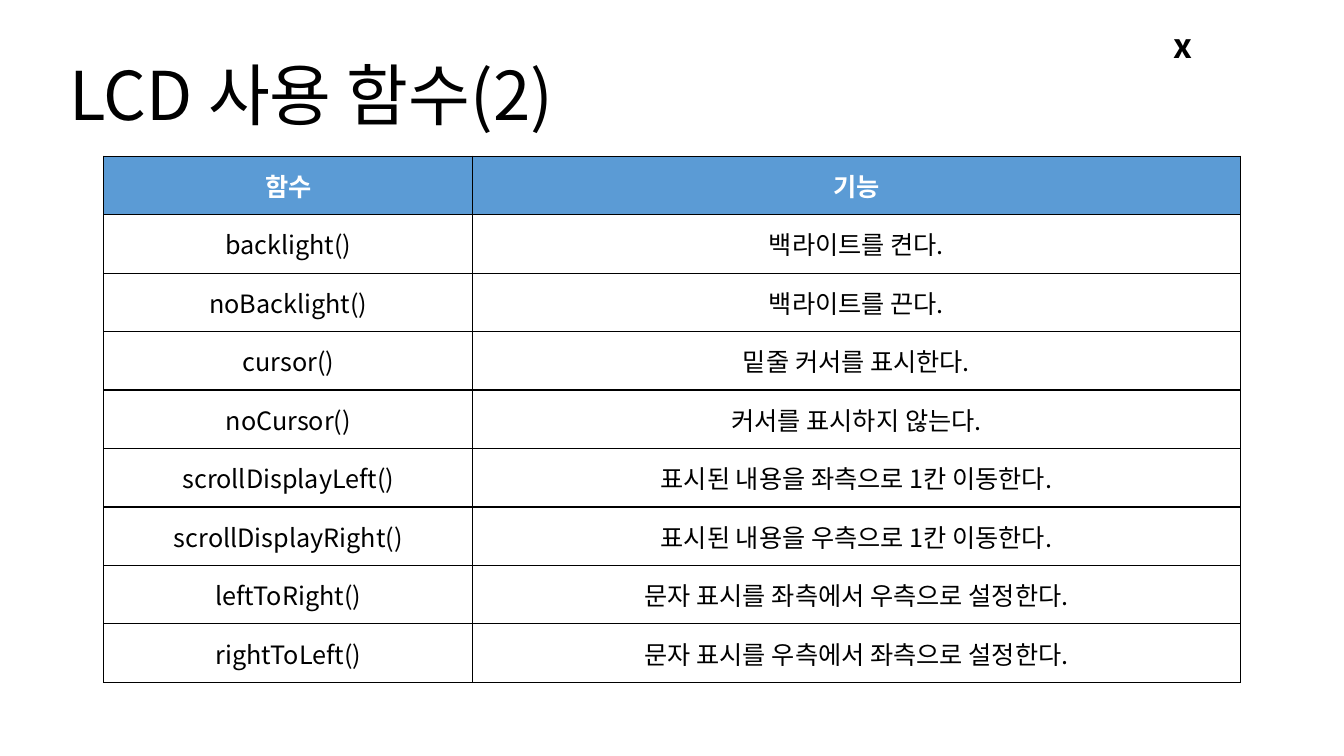
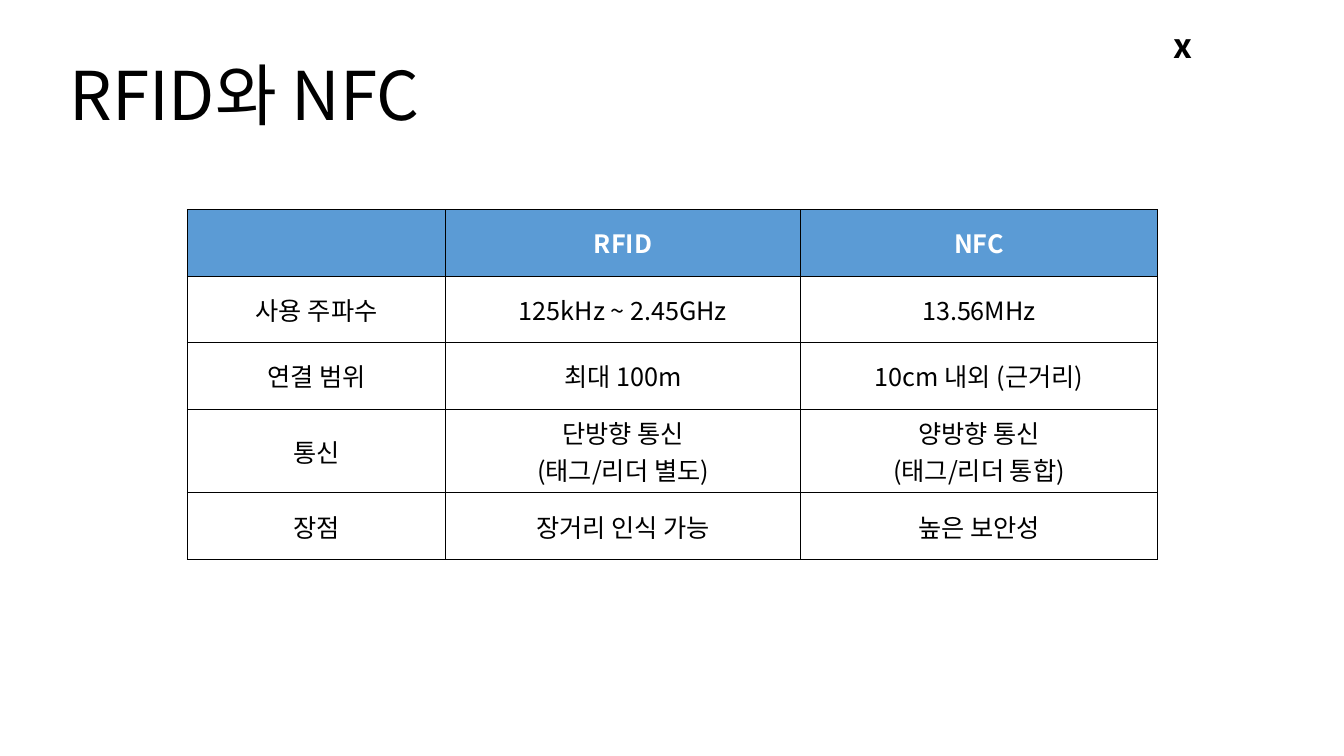
from lxml.etree import SubElement
from pptx import Presentation
from pptx.dml.color import RGBColor
from pptx.enum.text import MSO_ANCHOR, PP_ALIGN
from pptx.oxml.ns import qn
from pptx.util import Inches, Pt

FONT = "Noto Sans CJK KR"
BLACK, WHITE, BLUE = "000000", "FFFFFF", "5B9BD5"
TITLE = {"size": Pt(48), "bold": False}
MARK = {"size": Pt(24), "bold": True}
HEADER = {"size": Pt(18), "bold": True}
BODY = {"size": Pt(18), "bold": False}
TWO_LINE_HEIGHT = 0.83

LCD_ROWS = [
    ("함수", "기능"),
    ("backlight()", "백라이트를 켠다."),
    ("noBacklight()", "백라이트를 끈다."),
    ("cursor()", "밑줄 커서를 표시한다."),
    ("noCursor()", "커서를 표시하지 않는다."),
    ("scrollDisplayLeft()", "표시된 내용을 좌측으로 1칸 이동한다."),
    ("scrollDisplayRight()", "표시된 내용을 우측으로 1칸 이동한다."),
    ("leftToRight()", "문자 표시를 좌측에서 우측으로 설정한다."),
    ("rightToLeft()", "문자 표시를 우측에서 좌측으로 설정한다."),
]
RFID_ROWS = [
    ("", "RFID", "NFC"),
    ("사용 주파수", "125kHz ~ 2.45GHz", "13.56MHz"),
    ("연결 범위", "최대 100m", "10cm 내외 (근거리)"),
    ("통신", "단방향 통신\n(태그/리더 별도)", "양방향 통신\n(태그/리더 통합)"),
    ("장점", "장거리 인식 가능", "높은 보안성"),
]


def color(value):
    return RGBColor.from_string(value)


def write(frame, text, style, ink=BLACK, **paragraph_format):
    frame.text = text
    for para in frame.paragraphs:
        for name, value in paragraph_format.items():
            setattr(para, name, value)
        for span in para.runs:
            for name, value in style.items():
                setattr(span.font, name, value)
            span.font.name = FONT
            span.font.color.rgb = color(ink)
            SubElement(span.font._element, qn("a:ea"), typeface=FONT)


def add_text(page, text, bounds, style, **frame_format):
    frame = page.shapes.add_textbox(*map(Inches, bounds)).text_frame
    frame.word_wrap = True
    for name, value in frame_format.items():
        setattr(frame, name, value)
    write(frame, text, style, line_spacing=0.9)


def add_borders(cell):
    properties = cell._tc.get_or_add_tcPr()
    for position, side in enumerate(("lnL", "lnR", "lnT", "lnB")):
        line = properties.makeelement(qn(f"a:{side}"), {"w": str(Pt(1))})
        fill = SubElement(line, qn("a:solidFill"))
        SubElement(fill, qn("a:srgbClr"), val=BLACK)
        properties.insert(position, line)


def add_grid(page, rows, left, top, widths, row_height):
    heights = [TWO_LINE_HEIGHT if any("\n" in text for text in texts) else row_height
               for texts in rows]
    bounds = (left, top, sum(widths), sum(heights))
    table = page.shapes.add_table(len(rows), len(widths), *map(Inches, bounds)).table
    for column, width in zip(table.columns, widths):
        column.width = Inches(width)
    for row_index, texts in enumerate(rows):
        table.rows[row_index].height = Inches(heights[row_index])
        is_header = row_index == 0
        for column_index, text in enumerate(texts):
            cell = table.cell(row_index, column_index)
            cell.vertical_anchor = MSO_ANCHOR.MIDDLE
            cell.fill.solid()
            cell.fill.fore_color.rgb = color(BLUE if is_header else WHITE)
            add_borders(cell)
            write(cell.text_frame, text, HEADER if is_header else BODY,
                  WHITE if is_header else BLACK, alignment=PP_ALIGN.CENTER)


def add_page(deck, title):
    page = deck.slides.add_slide(deck.slide_layouts[6])
    add_text(page, "x", (11.54, 0.24, 0.32, 0.35), MARK, margin_right=0)
    add_text(page, title, (0.59, 0.25, 11.5, 1.45), TITLE,
             vertical_anchor=MSO_ANCHOR.MIDDLE)
    return page


def main():
    deck = Presentation()
    deck.slide_width, deck.slide_height = Inches(13.33), Inches(7.5)
    page = add_page(deck, "LCD 사용 함수(2)")
    add_grid(page, LCD_ROWS, 1.03, 1.55, (3.66, 7.61), 0.58)
    page = add_page(deck, "RFID와 NFC")
    add_grid(page, RFID_ROWS, 1.86, 2.08, (2.56, 3.52, 3.54), 0.66)
    deck.save("out.pptx")


if __name__ == "__main__":
    main()
